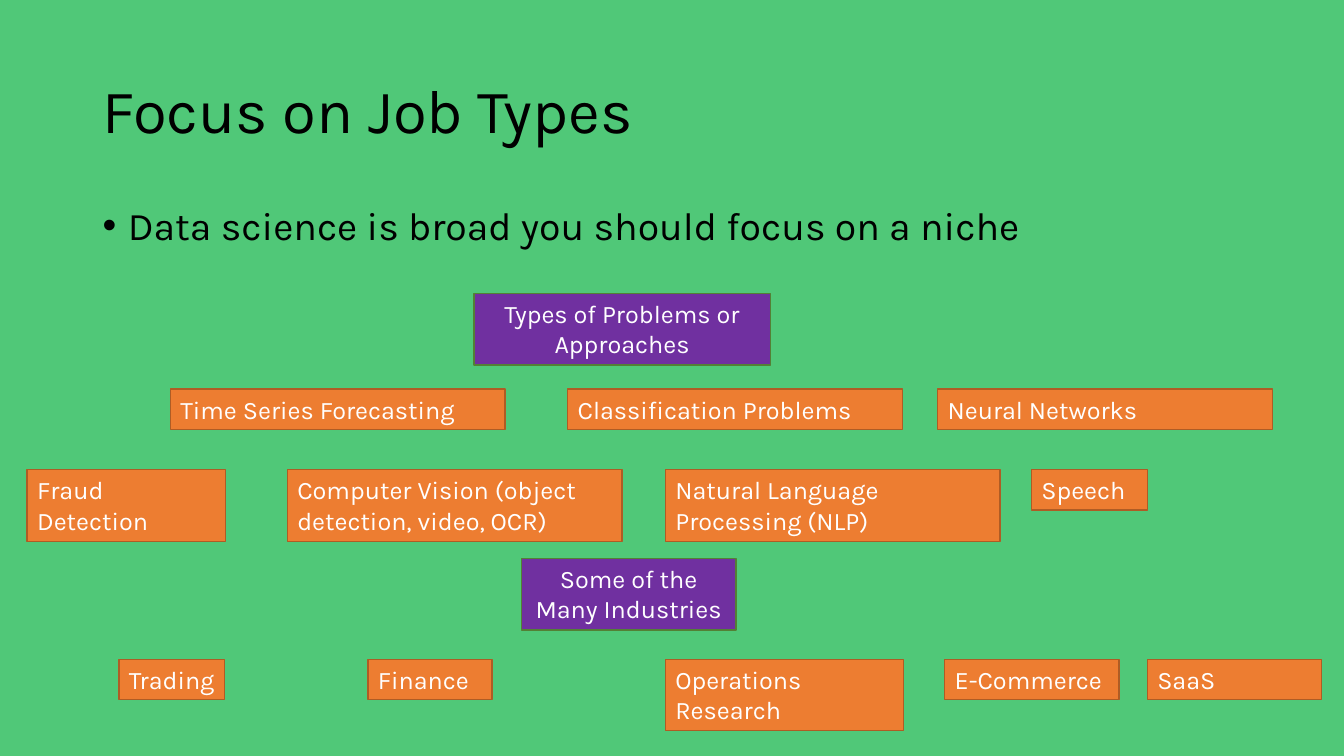
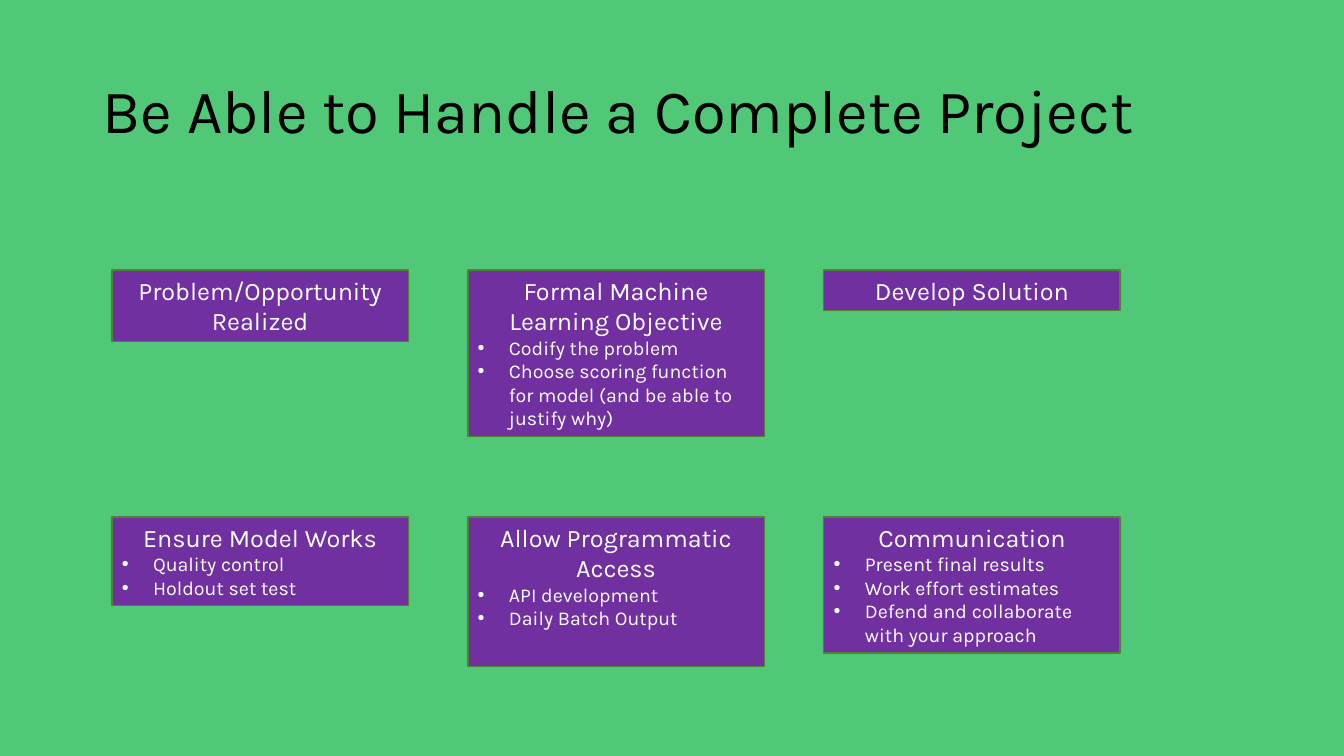
"""Build two slides on choosing a data science niche and handling a whole project."""
from lxml.etree import SubElement
from pptx import Presentation
from pptx.dml.color import RGBColor
from pptx.enum.shapes import MSO_SHAPE
from pptx.enum.text import MSO_ANCHOR, PP_ALIGN
from pptx.oxml.ns import qn
from pptx.util import Inches, Pt

FONT = "Karla"
GREEN = RGBColor(0x50, 0xC8, 0x78)
PURPLE = RGBColor(0x70, 0x30, 0xA0)
PURPLE_EDGE = RGBColor(0x53, 0x80, 0x35)
ORANGE = RGBColor(0xED, 0x7D, 0x31)
ORANGE_EDGE = RGBColor(0xAF, 0x5C, 0x24)
BLACK = RGBColor(0, 0, 0)
WHITE = RGBColor(0xFF, 0xFF, 0xFF)

ONE_LINE, TWO_LINES = 0.4, 0.71

NICHE_TITLE = "Focus on Job Types"
NICHE_POINT = "Data science is broad you should focus on a niche"
HEADINGS = [
    ("Types of Problems or Approaches", 4.7, 2.91, 2.94),
    ("Some of the Many Industries", 5.17, 5.54, 2.13),
]
TOPIC_ROWS = [
    (3.86, [
        ("Time Series Forecasting", 1.69, 3.32, ONE_LINE),
        ("Classification Problems", 5.63, 3.32, ONE_LINE),
        ("Neural Networks", 9.3, 3.32, ONE_LINE),
    ]),
    (4.66, [
        ("Fraud Detection", 0.27, 1.97, TWO_LINES),
        ("Computer Vision (object detection, video, OCR)", 2.85, 3.32, TWO_LINES),
        ("Natural Language Processing (NLP)", 6.6, 3.32, TWO_LINES),
        ("Speech", 10.23, 1.15, ONE_LINE),
    ]),
    (6.54, [
        ("Trading", 1.18, 1.05, ONE_LINE),
        ("Finance", 3.65, 1.23, ONE_LINE),
        ("Operations Research", 6.6, 2.36, TWO_LINES),
        ("E-Commerce", 9.37, 1.73, ONE_LINE),
        ("SaaS", 11.38, 1.73, ONE_LINE),
    ]),
]

PROJECT_TITLE = "Be Able to Handle a Complete Project"
STEP_ROWS = [
    (2.68, [
        ("Problem/Opportunity Realized", TWO_LINES, []),
        ("Formal Machine Learning Objective", 1.65, [
            "Codify the problem",
            "Choose scoring function for model (and be able to justify why)",
        ]),
        ("Develop Solution", ONE_LINE, []),
    ]),
    (5.13, [
        ("Ensure Model Works", 0.88, ["Quality control", "Holdout set test"]),
        ("Allow Programmatic Access", 1.48, ["API development", "Daily Batch Output"]),
        ("Communication", 1.35, [
            "Present final results",
            "Work effort estimates",
            "Defend and collaborate with your approach",
        ]),
    ]),
]
STEP_LEFT, STEP_PITCH, STEP_WIDTH = 1.11, 3.53, 2.94


def write(paragraph, text, size, color, align=PP_ALIGN.LEFT):
    paragraph.text = text
    paragraph.alignment = align
    paragraph.font.name = FONT
    paragraph.font.size = Pt(size)
    paragraph.font.color.rgb = color


def add_bullet(paragraph, indent):
    properties = paragraph._p.get_or_add_pPr()
    properties.set("marL", str(Inches(indent)))
    properties.set("indent", str(-Inches(indent)))
    SubElement(properties, qn("a:buFont")).set("typeface", "Arial")
    SubElement(properties, qn("a:buChar")).set("char", "•")


def add_text(slide, text, top, height, size, anchor):
    area = slide.shapes.add_textbox(Inches(0.92), Inches(top), Inches(11.5), Inches(height))
    frame = area.text_frame
    frame.word_wrap = True
    frame.vertical_anchor = anchor
    line = frame.paragraphs[0]
    write(line, text, size, BLACK)
    line.line_spacing = 0.9
    return line


def add_slide(deck, title):
    slide = deck.slides.add_slide(deck.slide_layouts[6])
    slide.background.fill.solid()
    slide.background.fill.fore_color.rgb = GREEN
    add_text(slide, title, 0.4, 1.45, 44, MSO_ANCHOR.MIDDLE)
    return slide


def add_box(slide, text, left, top, width, height, fill, edge, align, points=()):
    box = slide.shapes.add_shape(
        MSO_SHAPE.RECTANGLE, Inches(left), Inches(top), Inches(width), Inches(height))
    box.shadow.inherit = False
    box.fill.solid()
    box.fill.fore_color.rgb = fill
    box.line.color.rgb = edge
    box.line.width = Pt(1)
    frame = box.text_frame
    frame.word_wrap = True
    frame.vertical_anchor = MSO_ANCHOR.TOP
    write(frame.paragraphs[0], text, 18, WHITE, align)
    for point in points:
        item = frame.add_paragraph()
        write(item, point, 14, WHITE)
        add_bullet(item, 0.31)


def add_heading(slide, text, left, top, width, height, points=()):
    add_box(slide, text, left, top, width, height, PURPLE, PURPLE_EDGE, PP_ALIGN.CENTER, points)


def build_niche(deck):
    slide = add_slide(deck, NICHE_TITLE)
    point = add_text(slide, NICHE_POINT, 2, 0.74, 28, MSO_ANCHOR.TOP)
    point.space_before = Pt(10)
    add_bullet(point, 0.25)
    for text, left, top, width in HEADINGS:
        add_heading(slide, text, left, top, width, TWO_LINES)
    for top, topics in TOPIC_ROWS:
        for text, left, width, height in topics:
            add_box(slide, text, left, top, width, height, ORANGE, ORANGE_EDGE, PP_ALIGN.LEFT)


def build_project(deck):
    slide = add_slide(deck, PROJECT_TITLE)
    for top, steps in STEP_ROWS:
        for column, (text, height, points) in enumerate(steps):
            left = STEP_LEFT + column * STEP_PITCH
            add_heading(slide, text, left, top, STEP_WIDTH, height, points)


deck = Presentation()
deck.slide_width, deck.slide_height = Inches(13.33), Inches(7.5)
build_niche(deck)
build_project(deck)
deck.save("out.pptx")
